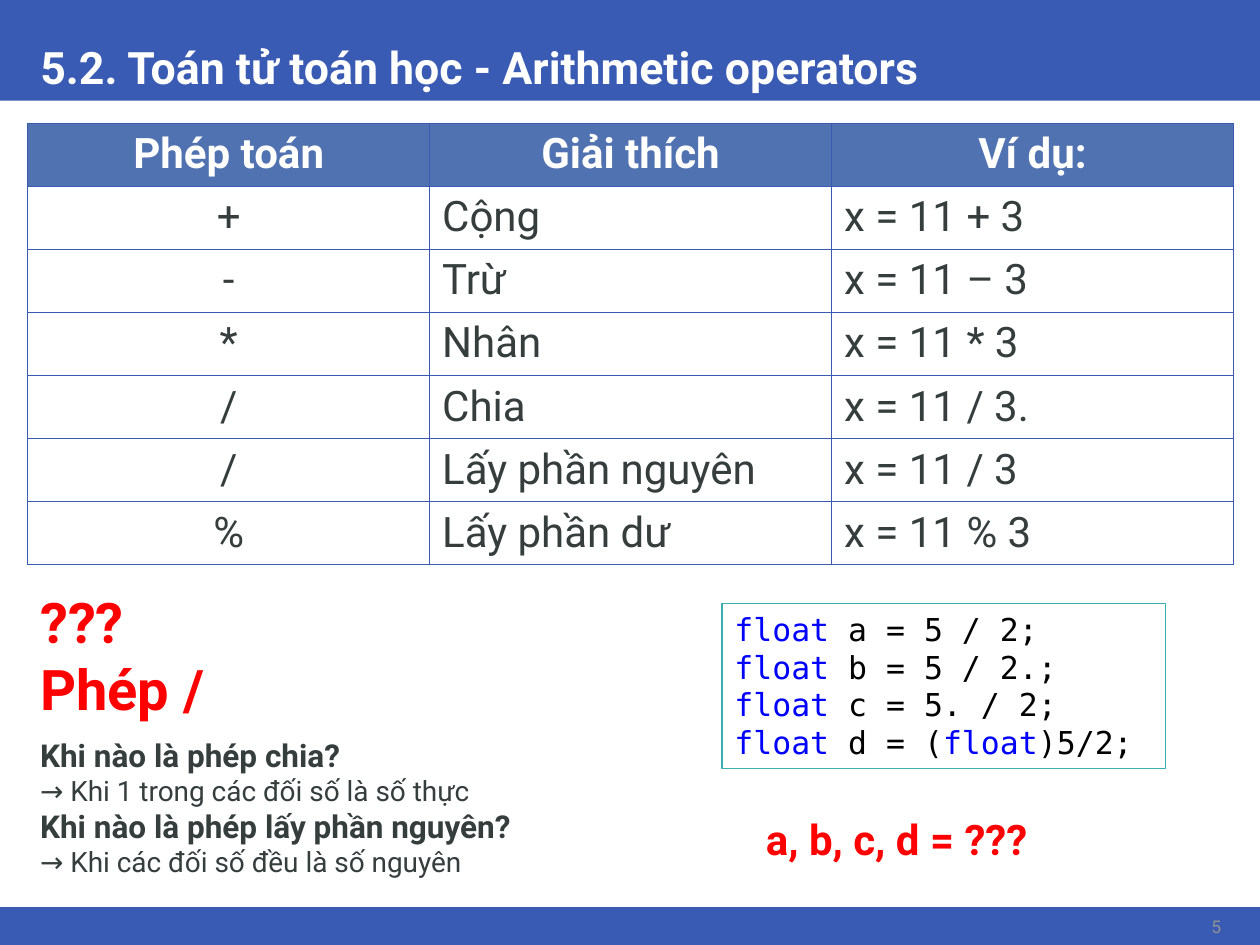
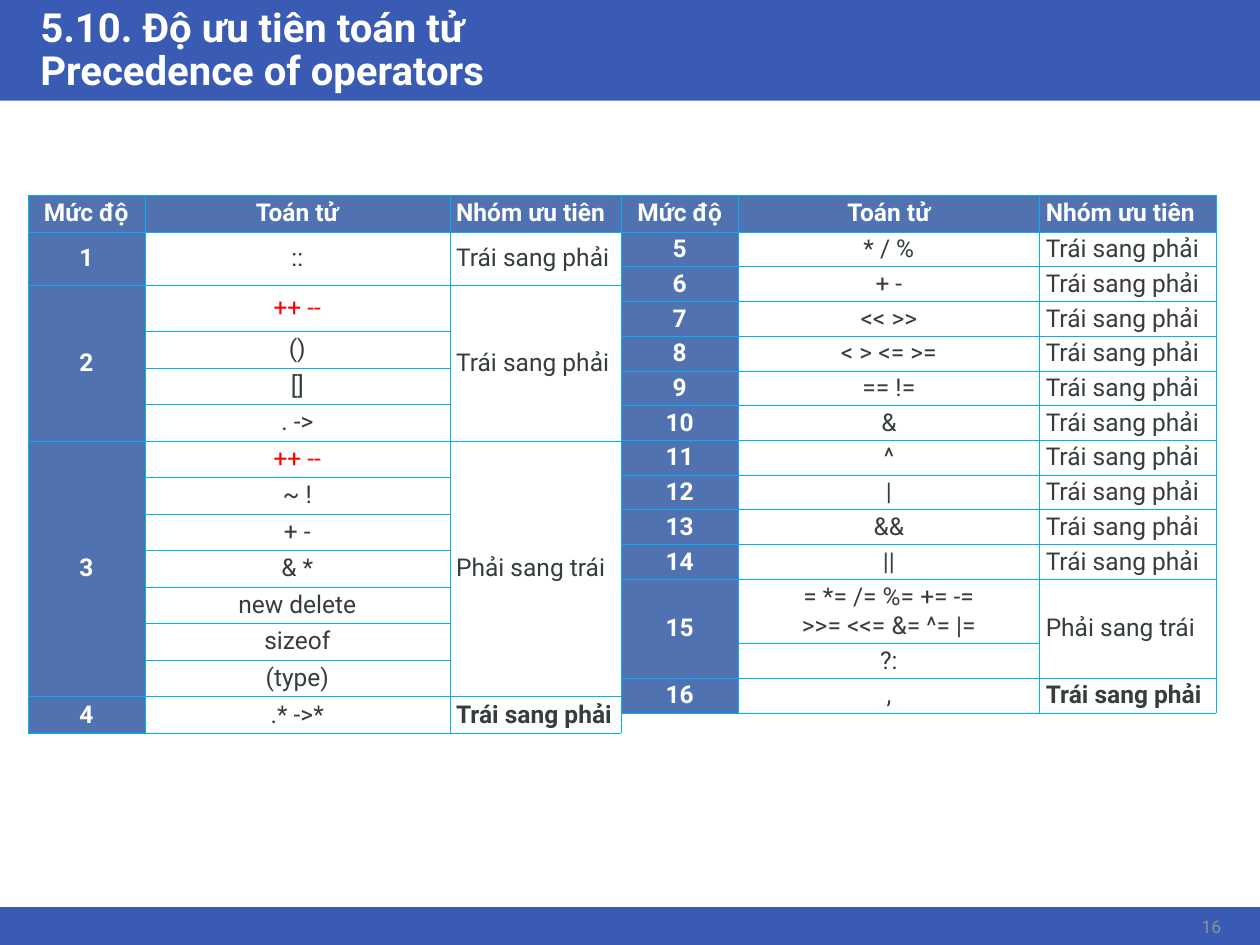
from dataclasses import dataclass

from pptx import Presentation
from pptx.dml.color import RGBColor
from pptx.enum import shapes, text
from pptx.oxml import parse_xml
from pptx.oxml.ns import nsdecls
from pptx.util import Inches, Pt


@dataclass(frozen=True)
class Theme:
    """Colours, fonts and type sizes shared by the slides."""
    band: str = "3A5BB3"
    header: str = "5172B1"
    grid: str = "00B0F0"
    ink: str = "363D3D"
    white: str = "FFFFFF"
    alert: str = "FF0000"
    number: str = "919292"
    code_line: str = "3AAFB2"
    keyword: str = "0000FF"
    code: str = "000000"
    font: str = "Roboto"
    mono: str = "DejaVu Sans Mono"
    huge: int = 32
    large: int = 24
    medium: int = 18
    answer: int = 16
    dense: int = 14
    small: int = 10


THEME = Theme()
LEFT, CENTER, RIGHT = text.PP_ALIGN.LEFT, text.PP_ALIGN.CENTER, text.PP_ALIGN.RIGHT
LTR, RTL = "Trái sang phải", "Phải sang trái"
MARGIN, CONTENT_WIDTH = 0.22, 9.57

ARITHMETIC = [
    ("Phép toán", "Giải thích", "Ví dụ:"),
    ("+", "Cộng", "x = 11 + 3"),
    ("-", "Trừ", "x = 11 – 3"),
    ("*", "Nhân", "x = 11 * 3"),
    ("/", "Chia", "x = 11 / 3."),
    ("/", "Lấy phần nguyên", "x = 11 / 3"),
    ("%", "Lấy phần dư", "x = 11 % 3"),
]
PRECEDENCE_HEADER = ("Mức độ", "Toán tử", "Nhóm ưu tiên")
HIGH_LEVELS = [
    ("1", ["::"], LTR),
    ("2", ["++ --", "()", "[]", ". ->"], LTR),
    ("3", ["++ --", "~ !", "+ -", "& *", "new delete", "sizeof", "(type)"], RTL),
    ("4", [".* ->*"], LTR),
]
BINARY_OPERATORS = ["* / %", "+ -", "<< >>", "< > <= >=", "== !=", "&", "^", "|", "&&", "||"]
LOW_LEVELS = [(str(level), [operator], LTR) for level, operator in enumerate(BINARY_OPERATORS, 5)] + [
    ("15", ["= *= /= %= += -=\v>>= <<= &= ^= |=", "?:"], RTL),
    ("16", [","], LTR),
]


def inches(*lengths):
    """Convert several lengths to EMU."""
    return [Inches(length) for length in lengths]


def rgb(colour):
    """Turn a hex string into a colour."""
    return RGBColor.from_string(colour)


def style(target, size, colour, bold=False, face=THEME.font):
    """Format the font of a paragraph or run."""
    font = target.font
    font.size, font.bold, font.name = Pt(size), bold, face
    font.color.rgb = rgb(colour)


def add_text(slide, box, lines, align=LEFT, anchor=text.MSO_ANCHOR.TOP):
    """Add a text box of (words, size, colour, bold) paragraphs."""
    frame = slide.shapes.add_textbox(*inches(*box)).text_frame
    frame.word_wrap, frame.vertical_anchor = True, anchor
    for index, (words, size, colour, bold) in enumerate(lines):
        paragraph = frame.add_paragraph() if index else frame.paragraphs[0]
        paragraph.text, paragraph.alignment = words, align
        style(paragraph, size, colour, bold)


def add_master_bands(prs, slide):
    """Put the header and footer bands on the slide master."""
    master_tree = prs.slide_master.element.cSld.spTree
    for top, height in ((0, 0.8), (7.2, 0.3)):
        band = slide.shapes.add_shape(shapes.MSO_SHAPE.RECTANGLE, *inches(0, top, 10, height))
        band.shadow.inherit = False
        band.fill.solid()
        band.fill.fore_color.rgb = rgb(THEME.band)
        band.line.fill.background()
        master_tree.insert(2, band._element)


def add_titled_slide(prs, heading, size, number):
    """Add a slide with its title and page number."""
    slide = prs.slides.add_slide(prs.slide_layouts[5])
    title = slide.shapes.title
    title.left, title.top, title.width, title.height = inches(MARGIN, 0, CONTENT_WIDTH, 0.8)
    frame = title.text_frame
    frame.text = heading
    frame.auto_size, frame.vertical_anchor = text.MSO_AUTO_SIZE.NONE, text.MSO_ANCHOR.BOTTOM
    paragraph = frame.paragraphs[0]
    paragraph.alignment, paragraph.line_spacing = LEFT, 0.9
    style(paragraph, size, THEME.white, True)
    add_text(slide, (9.26, 7.22, 0.53, 0.26), [(number, THEME.small, THEME.number, False)],
             RIGHT, text.MSO_ANCHOR.MIDDLE)
    return slide


def add_grid(slide, left, top, columns, rows):
    """Add an unbanded table with the given column widths and row heights."""
    box = inches(left, top, sum(columns), sum(rows))
    table = slide.shapes.add_table(len(rows), len(columns), *box).table
    table.horz_banding = False
    for column, width in zip(table.columns, columns):
        column.width = Inches(width)
    for row, height in zip(table.rows, rows):
        row.height = Inches(height)
    return table


def format_cell(cell, fill, border, border_width):
    """Fill a cell and rule its four sides."""
    cell.fill.solid()
    cell.fill.fore_color.rgb = rgb(fill)
    properties = cell._tc.get_or_add_tcPr()
    for index, side in enumerate("LRTB"):
        properties.insert(index, parse_xml(
            f'<a:ln{side} {nsdecls("a")} w="{Pt(border_width)}"><a:solidFill>'
            f'<a:srgbClr val="{border}"/></a:solidFill></a:ln{side}>'))


def write_cell(cell, words, align, size, colour, bold):
    """Write one paragraph into a cell."""
    cell.text = words
    paragraph = cell.text_frame.paragraphs[0]
    paragraph.alignment = align
    style(paragraph, size, colour, bold)


def add_arithmetic_table(slide, left, top, width):
    """Add the table of arithmetic operators with equal columns."""
    table = add_grid(slide, left, top, [width / 3] * 3, [3.44 / 7] * 7)
    for row, entries in enumerate(ARITHMETIC):
        head = row == 0
        for column, words in enumerate(entries):
            cell = table.cell(row, column)
            write_cell(cell, words, CENTER if head or column == 0 else LEFT, THEME.large,
                       THEME.white if head else THEME.ink, head)
            format_cell(cell, THEME.header if head else THEME.white, THEME.band, 0.5)


def add_precedence_table(slide, left, top, columns, rows, levels):
    """Add a precedence table, merging the cells of each level."""
    table = add_grid(slide, left, top, columns, rows)
    for row in range(len(rows)):
        for column in range(3):
            cell = table.cell(row, column)
            cell.vertical_anchor = text.MSO_ANCHOR.MIDDLE
            cell.margin_left = cell.margin_right = Inches(0.05)
            cell.margin_top = cell.margin_bottom = Inches(0.02)
            head = row == 0 or column == 0
            format_cell(cell, THEME.header if head else THEME.white, THEME.grid, 0.25)
    for column, words in enumerate(PRECEDENCE_HEADER):
        write_cell(table.cell(0, column), words, LEFT if column == 2 else CENTER,
                   THEME.dense, THEME.white, True)
    first = 1
    for level, operators, direction in levels:
        last = first + len(operators) - 1
        if last > first:
            for column in (0, 2):
                table.cell(first, column).merge(table.cell(last, column))
        write_cell(table.cell(first, 0), level, CENTER, THEME.dense, THEME.white, True)
        write_cell(table.cell(first, 2), direction, LEFT, THEME.dense, THEME.ink,
                   level == levels[-1][0])
        for row, operator in enumerate(operators, first):
            colour = THEME.alert if operator == "++ --" else THEME.ink
            write_cell(table.cell(row, 1), operator, CENTER, THEME.dense, colour, False)
        first = last + 1


def add_code_box(slide, box, lines):
    """Add a framed code listing with its keywords coloured."""
    listing = slide.shapes.add_shape(shapes.MSO_SHAPE.RECTANGLE, *inches(*box))
    listing.shadow.inherit = False
    listing.fill.solid()
    listing.fill.fore_color.rgb = rgb(THEME.white)
    listing.line.color.rgb = rgb(THEME.code_line)
    listing.line.width = Pt(1)
    frame = listing.text_frame
    frame.word_wrap, frame.vertical_anchor = True, text.MSO_ANCHOR.TOP
    for index, line in enumerate(lines):
        paragraph = frame.add_paragraph() if index else frame.paragraphs[0]
        paragraph.alignment = LEFT
        for part, rest in enumerate(line.split("float")):
            pieces = [("float", THEME.keyword)] if part else []
            pieces += [(rest, THEME.code)] if rest else []
            for words, colour in pieces:
                run = paragraph.add_run()
                run.text = words
                style(run, THEME.medium, colour, face=THEME.mono)


def add_division_notes(slide, left, top):
    """Add the question about division and its two answers."""
    add_text(slide, (left, top, 1.72, 1.18),
             [(words, THEME.huge, THEME.alert, True) for words in ("???", "Phép /")])
    notes = [("Khi nào là phép chia?", "→ Khi 1 trong các đối số là số thực"),
             ("Khi nào là phép lấy phần nguyên?", "→ Khi các đối số đều là số nguyên")]
    lines = []
    for question, answer in notes:
        lines += [(question, THEME.medium, THEME.ink, True),
                  (answer, THEME.answer, THEME.ink, False)]
    add_text(slide, (left, top + 1.18, 4.47, 1.25), lines)


def add_division_exercise(slide, left, top):
    """Add the code exercise and its question."""
    add_code_box(slide, (left, top, 3.52, 1.31), [
        "float a = 5 / 2;", "float b = 5 / 2.;", "float c = 5. / 2;", "float d = (float)5/2;"])
    add_text(slide, (left + 0.25, top + 1.62, 2.66, 0.5),
             [("a, b, c, d = ???", THEME.large, THEME.alert, True)])


def build_arithmetic(prs):
    """Build the slide on arithmetic operators."""
    slide = add_titled_slide(prs, "5.2. Toán tử toán học - Arithmetic operators", 25.5, "5")
    add_arithmetic_table(slide, MARGIN, 0.98, CONTENT_WIDTH)
    add_division_notes(slide, MARGIN, 4.61)
    add_division_exercise(slide, 5.73, 4.79)
    return slide


def build_precedence(prs):
    """Build the slide on operator precedence."""
    slide = add_titled_slide(prs, "5.10. Độ ưu tiên toán tử\vPrecedence of operators", 22.9, "16")
    head, top = 0.29, 1.55
    high_columns = [0.93, 2.42, 1.36]
    add_precedence_table(slide, MARGIN, top, high_columns,
                         [head, 0.42, 0.37] + [0.29] * 11, HIGH_LEVELS)
    two_lines = 0.51
    single = (4.11 - head - two_lines) / 12
    add_precedence_table(slide, MARGIN + sum(high_columns), top, [0.93, 2.39, 1.4],
                         [head] + [single] * 10 + [two_lines] + [single] * 2, LOW_LEVELS)


def main():
    """Build and save the presentation."""
    prs = Presentation()
    prs.slide_width, prs.slide_height = inches(10, 7.5)
    add_master_bands(prs, build_arithmetic(prs))
    build_precedence(prs)
    prs.save("out.pptx")


if __name__ == "__main__":
    main()
